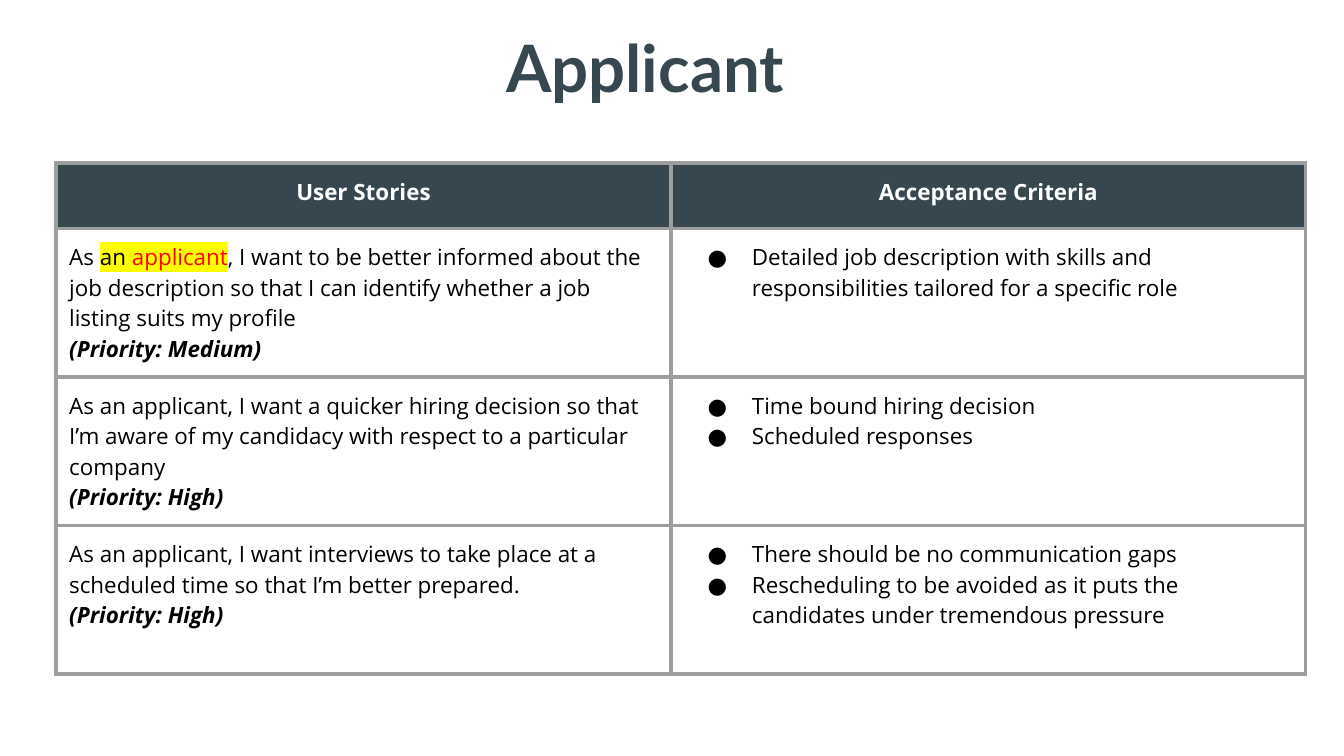
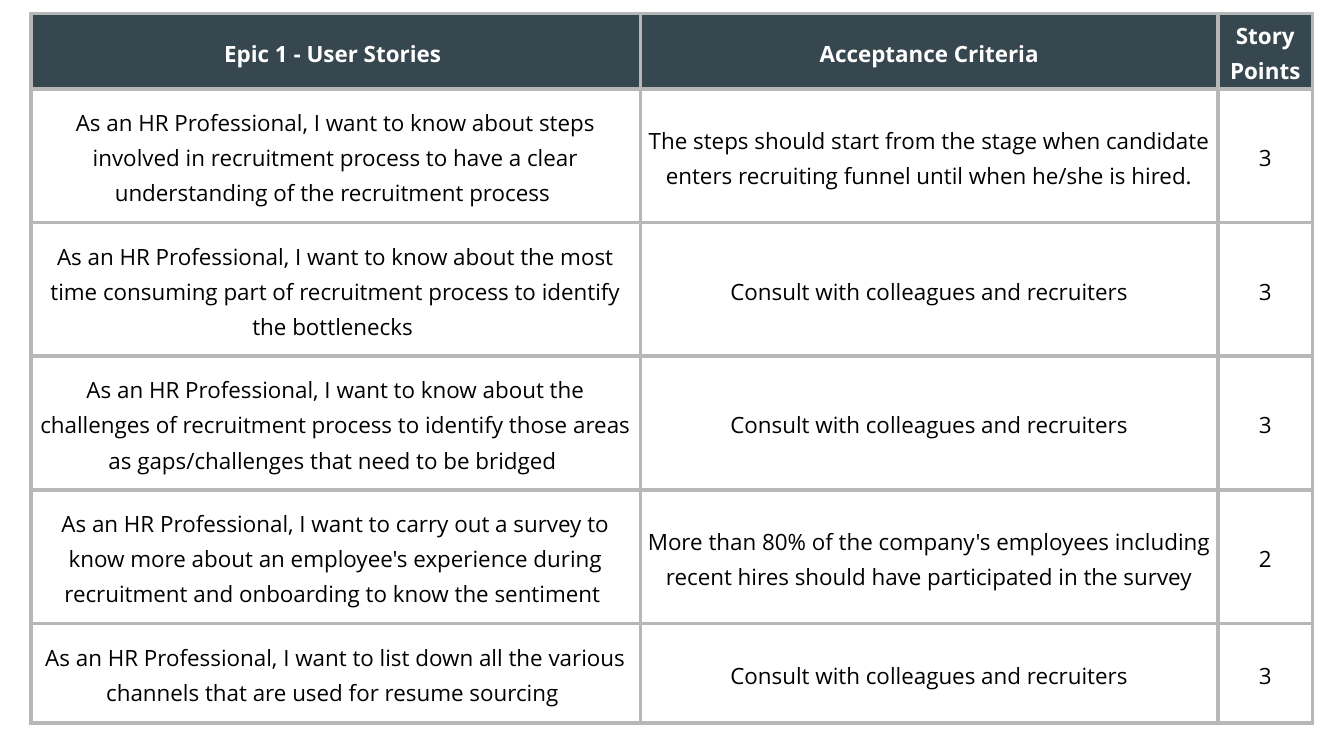
import lxml.etree
import pptx
import pptx.dml.color
import pptx.enum.text
import pptx.oxml.ns
import pptx.util

PX = 4572  # EMU; 200 px to the inch
RGB = pptx.dml.color.RGBColor
SLATE = RGB(0x37, 0x47, 0x4F)
WHITE = RGB(0xFF, 0xFF, 0xFF)
BLACK = RGB(0x00, 0x00, 0x00)
RED = RGB(0xFF, 0x00, 0x00)
YELLOW = RGB(0xFF, 0xFF, 0x00)
GREY = RGB(0x9E, 0x9E, 0x9E)
LIGHT_GREY = RGB(0xB7, 0xB7, 0xB7)

ALIGN = pptx.enum.text.PP_ALIGN
ANCHOR = pptx.enum.text.MSO_ANCHOR
qn = pptx.oxml.ns.qn

BODY = {"name": "Open Sans", "size": pptx.util.Pt(12), "bold": False, "italic": False}
HEADER = BODY | {"bold": True}
PRIORITY = HEADER | {"italic": True}
TITLE = {"name": "Lato", "size": pptx.util.Pt(35), "bold": True}

APPLICANT_HEADERS = ["User Stories", "Acceptance Criteria"]
APPLICANT_STORIES = [
    ([("As ", BLACK, None), ("an ", BLACK, YELLOW), ("applicant", RED, YELLOW),
      (", I want to be better informed about the job description so that I can "
       "identify whether a job listing suits my profile", BLACK, None)],
     "Medium",
     ["Detailed job description with skills and responsibilities tailored for a specific role"]),
    ([("As an applicant, I want a quicker hiring decision so that I’m aware of my "
       "candidacy with respect to a particular company", BLACK, None)],
     "High",
     ["Time bound hiring decision", "Scheduled responses"]),
    ([("As an applicant, I want interviews to take place at a scheduled time so that "
       "I’m better prepared.", BLACK, None)],
     "High",
     ["There should be no communication gaps",
      "Rescheduling to be avoided as it puts the candidates under tremendous pressure"]),
]

EPIC_HEADERS = ["Epic 1 - User Stories ", "Acceptance Criteria", "Story Points"]
CONSULT = "Consult with colleagues and recruiters"
EPIC_STORIES = [
    ("know about steps involved in recruitment process to have a clear understanding "
     "of the recruitment process",
     "The steps should start from the stage when candidate enters recruiting funnel "
     "until when he/she is hired.", "3"),
    ("know about the most time consuming part of recruitment process to identify "
     "the bottlenecks", CONSULT, "3"),
    ("know about the challenges of recruitment process to identify those areas as "
     "gaps/challenges that need to be bridged", CONSULT, "3"),
    ("carry out a survey to know more about an employee's experience during "
     "recruitment and onboarding to know the sentiment",
     "More than 80% of the company's employees including recent hires should have "
     "participated in the survey", "2"),
    ("list down all the various channels that are used for resume sourcing",
     CONSULT, "3"),
]


def set_all(obj, values):
    for name, value in values.items():
        setattr(obj, name, value)


def add_run(p, text, font, color, highlight=None):
    r = p.add_run()
    r.text = text
    set_all(r.font, font)
    r.font.color.rgb = color
    if highlight is not None:
        mark = lxml.etree.Element(qn("a:highlight"))
        lxml.etree.SubElement(mark, qn("a:srgbClr"), val=str(highlight))
        r.font._element.find(qn("a:solidFill")).addnext(mark)


def add_bullet(p):
    pPr = p._p.get_or_add_pPr()
    pPr.set("marL", str(100 * PX))
    pPr.set("indent", str(-66 * PX))
    color = lxml.etree.SubElement(pPr, qn("a:buClr"))
    lxml.etree.SubElement(color, qn("a:srgbClr"), val=str(BLACK))
    lxml.etree.SubElement(pPr, qn("a:buFont"), typeface=BODY["name"])
    lxml.etree.SubElement(pPr, qn("a:buChar"), char="●")


def next_paragraph(tf):
    """Return the first paragraph while it is empty, otherwise a new one."""
    return tf.add_paragraph() if tf.paragraphs[-1].runs else tf.paragraphs[-1]


def add_borders(cell, color):
    tcPr = cell._tc.get_or_add_tcPr()
    for i, side in enumerate(("lnL", "lnR", "lnT", "lnB")):
        ln = lxml.etree.Element(qn(f"a:{side}"), w=str(pptx.util.Pt(2.25)))
        fill = lxml.etree.SubElement(ln, qn("a:solidFill"))
        lxml.etree.SubElement(fill, qn("a:srgbClr"), val=str(color))
        tcPr.insert(i, ln)


def add_grid(s, left, top, widths, heights, border, margins, anchor):
    """Add a table with a slate header row and unfilled body rows."""
    box = [v * PX for v in (left, top, sum(widths), sum(heights))]
    table = s.shapes.add_table(len(heights), len(widths), *box).table
    set_all(table, {"first_row": False, "horz_banding": False})
    for column, width in zip(table.columns, widths):
        column.width = width * PX
    x, y = (m * PX for m in margins)
    for i, (row, height) in enumerate(zip(table.rows, heights)):
        row.height = height * PX
        for cell in row.cells:
            if i == 0:
                cell.fill.solid()
                cell.fill.fore_color.rgb = SLATE
            else:
                cell.fill.background()
            add_borders(cell, border)
            set_all(cell, {"margin_left": x, "margin_right": x, "margin_top": y,
                           "margin_bottom": y, "vertical_anchor": anchor})
    return table


def fill_centred_row(table, row, texts, font, color, spacing=None):
    for column, text in enumerate(texts):
        p = table.cell(row, column).text_frame.paragraphs[0]
        set_all(p, {"alignment": ALIGN.CENTER, "line_spacing": spacing})
        add_run(p, text, font, color)


def add_title(s, text, left, top, width, height):
    tf = s.shapes.add_textbox(*(v * PX for v in (left, top, width, height))).text_frame
    margin = 20 * PX
    set_all(tf, {"word_wrap": True, "vertical_anchor": ANCHOR.MIDDLE,
                 "margin_left": margin, "margin_right": margin,
                 "margin_top": margin, "margin_bottom": margin})
    p = tf.paragraphs[0]
    p.alignment = ALIGN.CENTER
    add_run(p, text, TITLE, SLATE)


def add_applicant_table(s, left, top):
    table = add_grid(s, left, top, [916, 944], [97, 221, 221, 221],
                     GREY, (20, 20), ANCHOR.TOP)
    fill_centred_row(table, 0, APPLICANT_HEADERS, HEADER, WHITE)
    for row, (story, priority, criteria) in enumerate(APPLICANT_STORIES, 1):
        tf = table.cell(row, 0).text_frame
        for text, color, highlight in story:
            add_run(tf.paragraphs[0], text, BODY, color, highlight)
        p = next_paragraph(tf)
        p.alignment = ALIGN.JUSTIFY
        add_run(p, f"(Priority: {priority})", PRIORITY, BLACK)
        for criterion in criteria:
            p = next_paragraph(table.cell(row, 1).text_frame)
            add_bullet(p)
            add_run(p, criterion, BODY, BLACK)


def add_epic_table(s, left, top):
    table = add_grid(s, left, top, [907, 860, 140], [112] + [199] * 4 + [148],
                     LIGHT_GREY, (6, 4), ANCHOR.MIDDLE)
    fill_centred_row(table, 0, EPIC_HEADERS, HEADER, WHITE, 1.15)
    for row, (wish, criterion, points) in enumerate(EPIC_STORIES, 1):
        texts = [f"As an HR Professional, I want to {wish} ", criterion, points]
        fill_centred_row(table, row, texts, BODY, BLACK, 1.15)


def add_blank_slide(prs):
    s = prs.slides.add_slide(prs.slide_layouts[6])
    s.background.fill.solid()
    s.background.fill.fore_color.rgb = WHITE
    return s


def main():
    prs = pptx.Presentation()
    set_all(prs, {"slide_width": 2000 * PX, "slide_height": 1125 * PX})
    s = add_blank_slide(prs)
    add_title(s, "Applicant", 279, 0, 1362, 198)
    add_applicant_table(s, 83, 243)
    add_epic_table(add_blank_slide(prs), 46, 20)
    prs.save("out.pptx")


if __name__ == "__main__":
    main()
